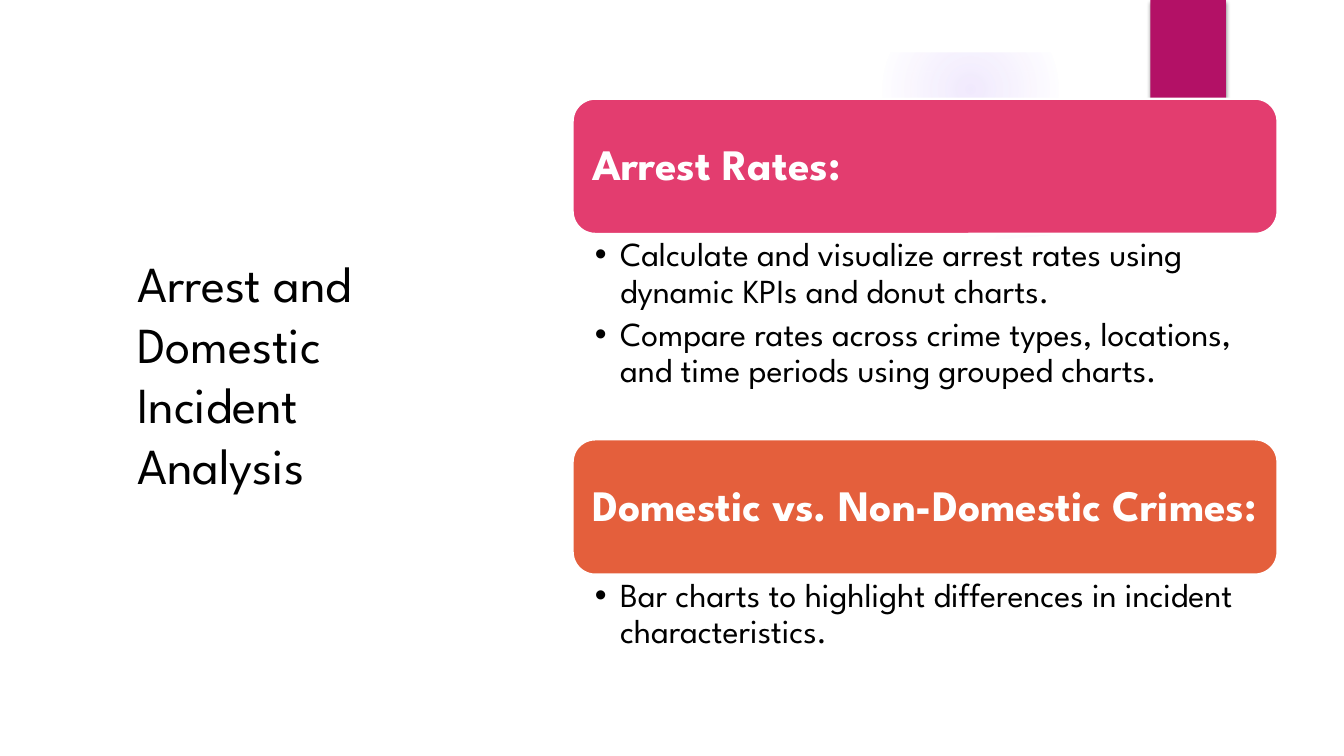
"""Build the slide on arrest rates and domestic incidents."""
from lxml import etree
from pptx import Presentation
from pptx.dml.color import RGBColor
from pptx.enum.shapes import MSO_SHAPE
from pptx.enum.text import MSO_ANCHOR, MSO_AUTO_SIZE, PP_ALIGN
from pptx.oxml import parse_xml
from pptx.oxml.ns import qn
from pptx.util import Inches, Pt

RECT = MSO_SHAPE.RECTANGLE
ROUND = MSO_SHAPE.ROUNDED_RECTANGLE
OVAL = MSO_SHAPE.OVAL
LEFT = PP_ALIGN.LEFT
TOP, MIDDLE = MSO_ANCHOR.TOP, MSO_ANCHOR.MIDDLE
FIXED = MSO_AUTO_SIZE.NONE

WHITE = RGBColor(0xFF, 0xFF, 0xFF)
BLACK = RGBColor(0x00, 0x00, 0x00)
PLUM = RGBColor(0xB3, 0x11, 0x66)
PINK = RGBColor(0xE3, 0x3D, 0x6F)
ORANGE = RGBColor(0xE4, 0x5F, 0x3C)
LILAC = RGBColor(0x9B, 0x6B, 0xF2)

FACE = "League Spartan"
TITLE = {"name": FACE, "size": Pt(36), "bold": False}
HEAD = {"name": FACE, "size": Pt(31), "bold": True}
BODY = {"name": FACE, "size": Pt(24), "bold": False}
DRAWING = "http://schemas.openxmlformats.org/drawingml/2006/main"

WIDE, HIGH = 13.33, 7.5
GLOWS = [
    (0, 2.92, 4.58, 11, 10, 75),
    (0, 3.17, 2.58, 8, 8, 72),
    (9.41, 6.42, 1.08, 14, 7, 66),
    (9.41, 1.83, 3.08, 7, 6, 69),
    (8.75, 0.01, 1.75, 14, 7, 73),
]
SWOOSH = [(9.34, 2.5), (10.5, 2.44), (11.7, 2.31), (12.89, 2.14), (12.83, 1.66),
          (12.13, 1.88), (11.32, 2.09), (10.53, 2.25), (9.89, 2.35), (9.3, 2.43)]
PANEL = [(0.5, 2.04), (0.5, 7), (12.84, 7), (12.84, 2.04), (11.72, 2.2),
         (10.6, 2.32), (9.49, 2.41), (8.4, 2.46), (7.08, 2.48), (5.83, 2.46),
         (4.44, 2.41), (3.21, 2.33), (2.16, 2.24), (1.35, 2.15)]
EDGE = [(0, 0), (0, HIGH), (WIDE, HIGH), (WIDE, 0)]
HOLE = [(12.81, 6.98), (0.52, 6.98), (0.52, 0.52), (12.81, 0.52)]

CARD_X, CARD_W, CARD_H = 5.68, 6.99, 1.34
CARDS = [
    (0.98, 2.04, PINK, "Arrest Rates:", [
        "Calculate and visualize arrest rates using dynamic KPIs and donut charts.",
        "Compare rates across crime types, locations, and time periods using grouped charts.",
    ]),
    (4.36, 0.82, ORANGE, "Domestic vs. Non-Domestic Crimes:", [
        "Bar charts to highlight differences in incident characteristics.",
    ]),
]


def assign(target, values):
    for name, value in values.items():
        setattr(target, name, value)


def paint(shape, color):
    shape.shadow.inherit = False
    shape.fill.solid()
    shape.fill.fore_color.rgb = color
    shape.line.fill.background()
    return shape


def add_block(slide, kind, box, color):
    return paint(slide.shapes.add_shape(kind, *map(Inches, box)), color)


def add_outline(slide, *loops):
    loops = [[tuple(map(Inches, spot)) for spot in loop] for loop in loops]
    pen = slide.shapes.build_freeform(*loops[0][0])
    for index, loop in enumerate(loops):
        if index:
            pen.move_to(*loop[0])
        pen.add_line_segments(loop[1:], close=True)
    return paint(pen.convert_to_shape(), WHITE)


def add_glow(slide, left, top, size, core, mid, end):
    glow = add_block(slide, OVAL, (left, top, size, size), LILAC)
    stops = "".join(
        f'<a:gs pos="{place * 1000}"><a:srgbClr val="{LILAC}">'
        f'<a:alpha val="{alpha * 1000}"/></a:srgbClr></a:gs>'
        for place, alpha in ((0, core), (36, mid), (end, 0))
    )
    props = glow._element.spPr
    props.replace(props.find(qn("a:solidFill")), parse_xml(
        f'<a:gradFill xmlns:a="{DRAWING}"><a:gsLst>{stops}</a:gsLst>'
        '<a:path path="circle"><a:fillToRect l="50000" t="50000" '
        'r="50000" b="50000"/></a:path></a:gradFill>'
    ))


def add_decor(slide):
    for glow in GLOWS:
        add_glow(slide, *glow)
    swoosh = add_outline(slide, SWOOSH)
    tint = swoosh._element.spPr.find(qn("a:solidFill"))[0]
    etree.SubElement(tint, qn("a:alpha")).set("val", "20000")
    add_outline(slide, PANEL)
    add_outline(slide, EDGE, HOLE)


def add_tab(slide):
    tab = add_block(slide, RECT, (11.41, 0, 0.75, 1.25), PLUM)
    tab._element.spPr.find(qn("a:effectLst")).append(parse_xml(
        f'<a:outerShdw xmlns:a="{DRAWING}" blurRad="{Pt(3)}" dist="{Pt(2)}" '
        f'dir="5400000"><a:srgbClr val="{BLACK}"><a:alpha val="45000"/>'
        '</a:srgbClr></a:outerShdw>'
    ))


def set_frame(shape, anchor, pads):
    sides = ("margin_left", "margin_top", "margin_right", "margin_bottom")
    assign(shape.text_frame, {
        "word_wrap": True, "auto_size": FIXED, "vertical_anchor": anchor,
        **dict(zip(sides, map(Inches, pads))),
    })


def write(shape, lines, style, color, spacing=0.9):
    frame = shape.text_frame
    for index, line in enumerate(lines):
        para = frame.paragraphs[0] if index == 0 else frame.add_paragraph()
        assign(para, {"alignment": LEFT, "line_spacing": spacing})
        run = para.add_run()
        run.text = line
        assign(run.font, style)
        run.font.color.rgb = color


def add_bullet(para):
    para.space_after = Pt(5)
    props = para._p.get_or_add_pPr()
    indent = Inches(0.25)
    props.set("marL", str(indent))
    props.set("indent", str(-indent))
    etree.SubElement(props, qn("a:buFont")).set("typeface", "Arial")
    etree.SubElement(props, qn("a:buChar")).set("char", "•")


def set_title(slide):
    title = slide.shapes.title
    spots = map(Inches, (1.26, 1.06, 3.22, 5.29))
    assign(title, dict(zip(("left", "top", "width", "height"), spots)))
    set_frame(title, MIDDLE, (0.1, 0.05, 0.1, 0.05))
    write(title, ["Arrest and Domestic Incident Analysis"], TITLE, BLACK, 1.0)
    slide.shapes._spTree.append(title._element)


def add_card(slide, top, depth, color, head, points):
    card = add_block(slide, ROUND, (CARD_X, top, CARD_W, CARD_H), color)
    card.line.color.rgb = WHITE
    card.line.width = Pt(1.5)
    set_frame(card, MIDDLE, (0.13, 0.13, 0.05, 0.13))
    write(card, [head], HEAD, WHITE)

    box = (CARD_X, top + CARD_H, CARD_W, depth)
    body = slide.shapes.add_textbox(*map(Inches, box))
    set_frame(body, TOP, (0.22, 0.04, 0.24, 0.04))
    write(body, points, BODY, BLACK)
    for para in body.text_frame.paragraphs:
        add_bullet(para)


def main():
    deck = Presentation()
    deck.slide_width, deck.slide_height = Inches(WIDE), Inches(HIGH)
    slide = deck.slides.add_slide(deck.slide_layouts[5])
    add_decor(slide)
    add_tab(slide)
    set_title(slide)
    for card in CARDS:
        add_card(slide, *card)
    deck.save("out.pptx")


if __name__ == "__main__":
    main()
